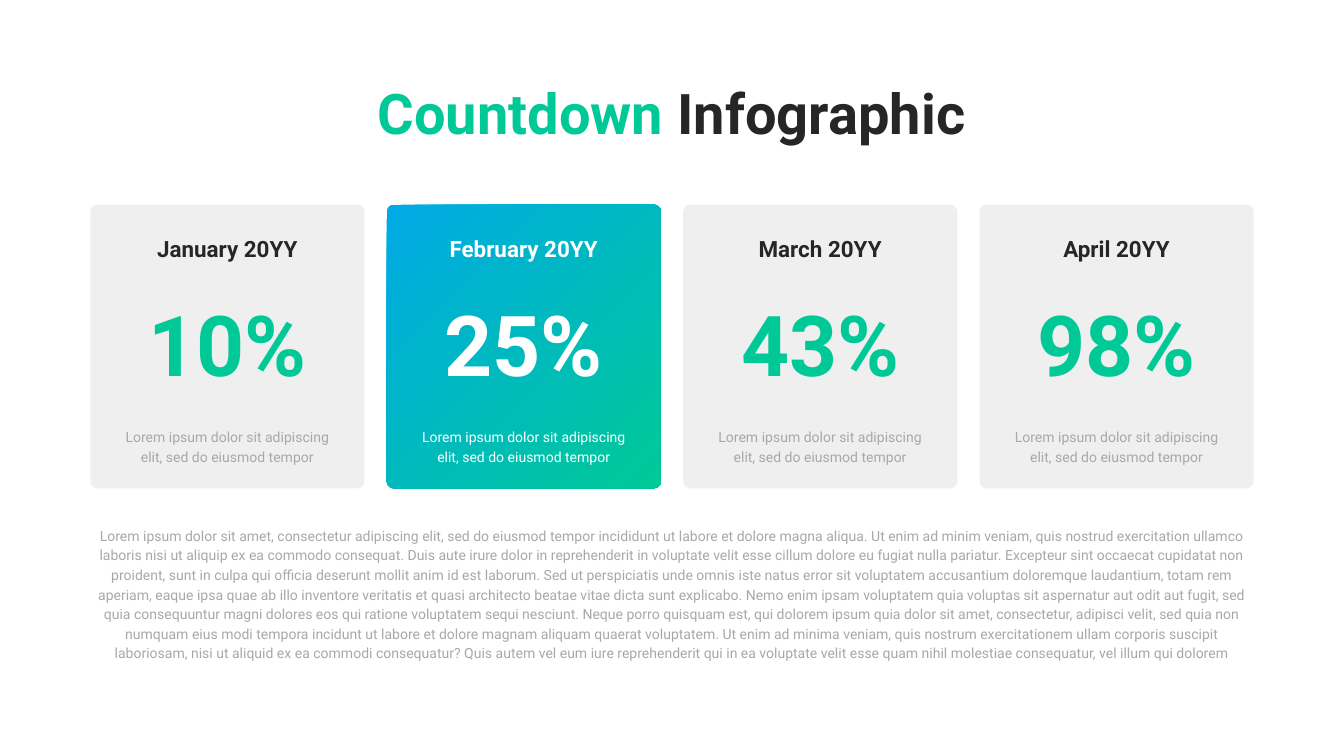
"""Build the countdown infographic slide: a title, four month cards and a paragraph."""
from dataclasses import dataclass

from lxml import etree
from pptx import Presentation
from pptx import util as u
from pptx.dml.color import RGBColor
from pptx.enum import shapes, text
from pptx.oxml import ns

GREEN, BLUE, DARK = "00C997", "00AAE5", "252625"
GREY, PALE, WHITE = "A7A8A7", "C7C8C7", "FEFFFE"
CARD_LEFT, CARD_TOP, CARD_W, CARD_H, PITCH = 4.55, 10.31, 13.82, 14.3, 14.94
NOTE = "Lorem ipsum dolor sit adipiscing elit, sed do eiusmod tempor"
SENTENCES = [
    "Lorem ipsum dolor sit amet, consectetur adipiscing elit, sed do eiusmod tempor "
    "incididunt ut labore et dolore magna aliqua.",
    "Ut enim ad minim veniam, quis nostrud exercitation ullamco laboris nisi ut aliquip "
    "ex ea commodo consequat.",
    "Duis aute irure dolor in reprehenderit in voluptate velit esse cillum dolore eu "
    "fugiat nulla pariatur.",
    "Excepteur sint occaecat cupidatat non proident, sunt in culpa qui officia deserunt "
    "mollit anim id est laborum.",
    "Sed ut perspiciatis unde omnis iste natus error sit voluptatem accusantium "
    "doloremque laudantium, totam rem aperiam, eaque ipsa quae ab illo inventore "
    "veritatis et quasi architecto beatae vitae dicta sunt explicabo.",
    "Nemo enim ipsam voluptatem quia voluptas sit aspernatur aut odit aut fugit, sed "
    "quia consequuntur magni dolores eos qui ratione voluptatem sequi nesciunt.",
    "Neque porro quisquam est, qui dolorem ipsum quia dolor sit amet, consectetur, "
    "adipisci velit, sed quia non numquam eius modi tempora incidunt ut labore et "
    "dolore magnam aliquam quaerat voluptatem.",
    "Ut enim ad minima veniam, quis nostrum exercitationem ullam corporis suscipit "
    "laboriosam, nisi ut aliquid ex ea commodi consequatur?",
    "Quis autem vel eum iure reprehenderit qui in ea voluptate velit esse quam nihil "
    "molestiae consequatur, vel illum qui dolorem",
]


@dataclass(frozen=True)
class Card:
    month: str
    percent: str
    active: bool = False


CARDS = [
    Card("January 20YY", "10%"),
    Card("February 20YY", "25%", active=True),
    Card("March 20YY", "43%"),
    Card("April 20YY", "98%"),
]


def rgb(value: str) -> RGBColor:
    return RGBColor.from_string(value)


def box(left: float, top: float, width: float, height: float) -> tuple:
    return u.Cm(left), u.Cm(top), u.Cm(width), u.Cm(height)


def write(sp, *parts: tuple[str, str], size: float, bold: bool = False,
          leading: float | None = None, inset: float | None = None,
          middle: bool = False) -> None:
    tf = sp.text_frame
    tf.word_wrap = True
    tf.auto_size = text.MSO_AUTO_SIZE.NONE
    tf.vertical_anchor = text.MSO_ANCHOR.MIDDLE if middle else text.MSO_ANCHOR.TOP
    if inset is not None:
        tf.margin_left = tf.margin_right = tf.margin_top = tf.margin_bottom = u.Cm(inset)
    p = tf.paragraphs[0]
    p.alignment = text.PP_ALIGN.CENTER
    if leading:
        p.line_spacing = u.Pt(leading)
    for words, color in parts:
        r = p.add_run()
        r.text = words
        r.font.name = "Roboto"
        r.font.size = u.Pt(size)
        r.font.bold = bold
        r.font.color.rgb = rgb(color)


def draw_panel(s, left: float, active: bool) -> None:
    sp = s.shapes.add_shape(shapes.MSO_SHAPE.ROUNDED_RECTANGLE,
                            *box(left, CARD_TOP, CARD_W, CARD_H))
    sp.adjustments[0] = 0.026
    sp.shadow.inherit = False
    sp.line.fill.background()
    if active:
        sp.fill.gradient()
        sp.fill.gradient_angle = 315
        for stop, color in zip(sp.fill.gradient_stops, (BLUE, GREEN)):
            stop.color.rgb = rgb(color)
    else:
        sp.fill.solid()
        sp.fill.fore_color.rgb = rgb(PALE)
        color = sp._element.spPr.find(ns.qn("a:solidFill"))[0]
        etree.SubElement(color, ns.qn("a:alpha"), val="28000")


def draw_card(s, card: Card, left: float) -> None:
    month, percent, note = (WHITE,) * 3 if card.active else (DARK, GREEN, GREY)
    draw_panel(s, left, card.active)
    write(s.shapes.add_textbox(*box(left, 11.68, CARD_W, 1.65)), (card.month, month),
          size=32, bold=True, inset=0.15, middle=True)
    write(s.shapes.add_textbox(*box(left + 1.28, 21.34, 11.26, 2.18)), (NOTE, note),
          size=20, leading=28)
    write(s.shapes.add_textbox(*box(left, 14.58, CARD_W, 5.41)), (card.percent, percent),
          size=120, bold=True, inset=0.15, middle=True)


def main() -> None:
    prs = Presentation()
    prs.slide_width, prs.slide_height = u.Cm(67.74), u.Cm(38.1)
    s = prs.slides.add_slide(prs.slide_layouts[5])
    title = s.shapes.title
    title.left, title.top, title.width, title.height = box(17.88, 3.81, 31.95, 3.71)
    write(title, ("Countdown", GREEN), (" Infographic", DARK), size=80, bold=True, inset=0.15)
    write(s.shapes.add_textbox(*box(4.5, 26.31, 58.75, 7.16)), (" ".join(SENTENCES), GREY),
          size=20, leading=28)
    for i, card in enumerate(CARDS):
        draw_card(s, card, CARD_LEFT + i * PITCH)
    prs.save("out.pptx")


if __name__ == "__main__":
    main()
